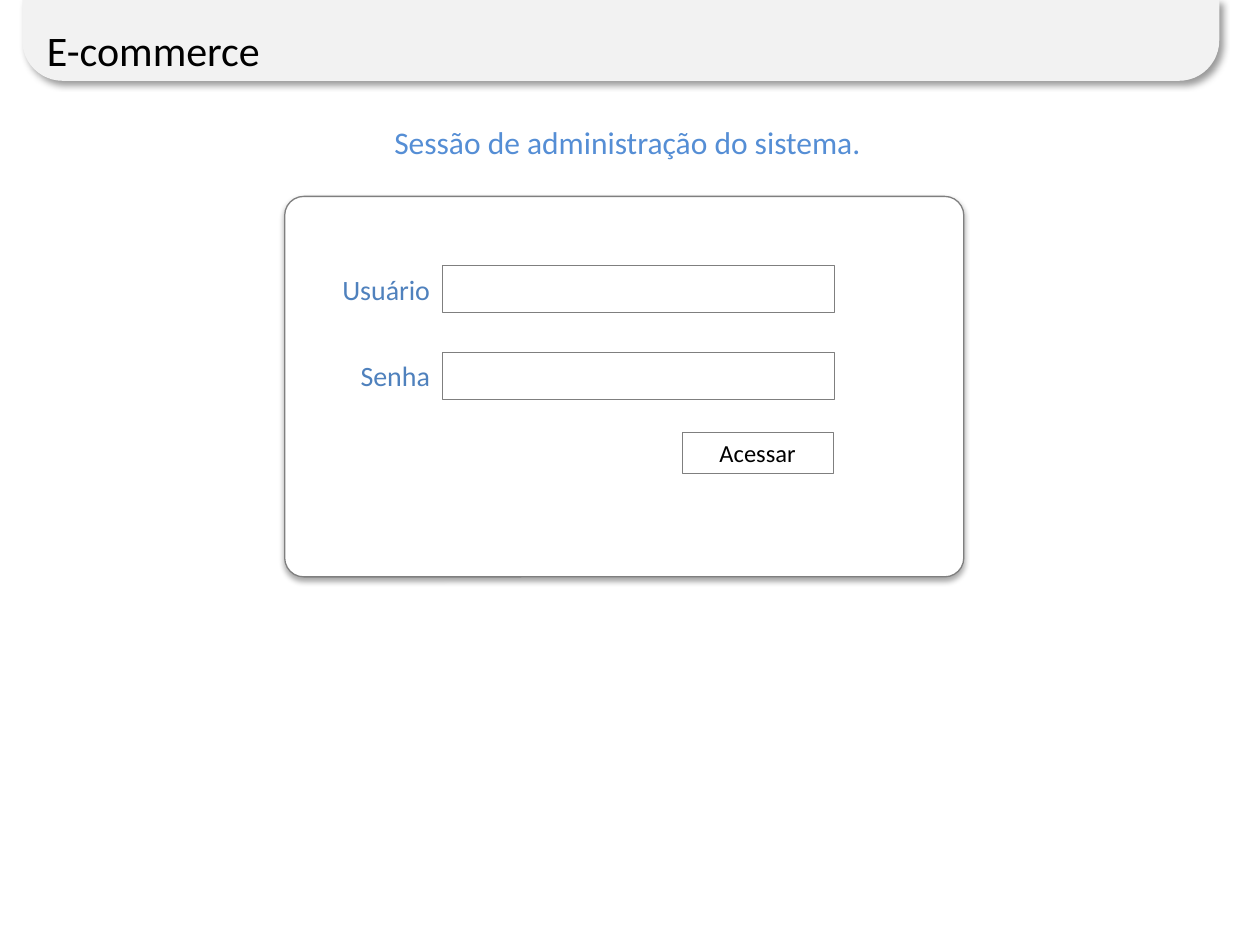
from lxml import etree
from pptx import Presentation
from pptx.dml.color import RGBColor
from pptx.enum.shapes import MSO_SHAPE
from pptx.enum.text import MSO_ANCHOR, MSO_AUTO_SIZE, PP_ALIGN
from pptx.oxml.ns import qn
from pptx.util import Cm, Pt

RECT = MSO_SHAPE.RECTANGLE
ROUND = MSO_SHAPE.ROUNDED_RECTANGLE
TAB = MSO_SHAPE.ROUND_2_SAME_RECTANGLE
TOP, MID = MSO_ANCHOR.TOP, MSO_ANCHOR.MIDDLE
LEFT, CENTER, RIGHT = PP_ALIGN.LEFT, PP_ALIGN.CENTER, PP_ALIGN.RIGHT
NO_FIT = MSO_AUTO_SIZE.NONE

FONT = "Calibri"
COLORS = {
    "black": "000000",
    "white": "FFFFFF",
    "band": "F2F2F2",
    "edge": "7F7F7F",
    "intro": "558ED5",
    "label": "4F81BD",
}


def color(name):
    return RGBColor.from_string(COLORS[name])


def write(shape, text, size, ink="black", align=LEFT, anchor=TOP, wrap=False):
    frame = shape.text_frame
    frame.auto_size = NO_FIT
    frame.word_wrap = wrap
    frame.vertical_anchor = anchor
    frame.text = text
    para = frame.paragraphs[0]
    para.alignment = align
    font = para.runs[0].font
    font.name, font.size = FONT, Pt(size)
    font.color.rgb = color(ink)


def add_text(slide, box, text, size, **style):
    shape = slide.shapes.add_textbox(*map(Cm, box))
    write(shape, text, size, **style)


def add_box(slide, kind, box, fill="white", line=None, adjust=()):
    """Add a filled shape; line is the outline width in points."""
    shape = slide.shapes.add_shape(kind, *map(Cm, box))
    shape.shadow.inherit = False
    shape.fill.solid()
    shape.fill.fore_color.rgb = color(fill)
    if line is None:
        shape.line.fill.background()
    else:
        shape.line.color.rgb = color("edge")
        shape.line.width = Pt(line)
    for i, value in enumerate(adjust):
        shape.adjustments[i] = value
    return shape


def add_shadow(shape, alpha, blur, dist, angle):
    """Cast an outer shadow: alpha in percent, lengths in points."""
    effects = shape._element.spPr.find(qn("a:effectLst"))
    outer = etree.SubElement(
        effects, qn("a:outerShdw"), blurRad=str(Pt(blur)),
        dist=str(Pt(dist)), dir=str(angle * 60000), rotWithShape="0")
    tint = etree.SubElement(outer, qn("a:srgbClr"), val=COLORS["black"])
    etree.SubElement(tint, qn("a:alpha"), val=str(alpha * 1000))


def add_header(slide, text):
    band = add_box(slide, TAB, (0.45, 0, 24.13, 1.63), "band",
                   adjust=(0, 0.5))
    add_shadow(band, 40, 4, 3, 45)
    title = slide.shapes.title
    title.left, title.top, title.width, title.height = map(
        Cm, (0.69, 0.36, 5.05, 1.28))
    write(title, text, 24)
    band._element.addnext(title._element)  # title in front of the band


def add_field(slide, top, label):
    left, width, height = 8.92, 7.9, 0.94
    add_text(slide, (left - 2.31, top, 2.31, height), label, 16,
             ink="label", align=RIGHT)
    add_box(slide, RECT, (left, top, width, height), line=0.75)


def main():
    deck = Presentation()
    deck.slide_width, deck.slide_height = Cm(25.4), Cm(19.05)
    slide = deck.slides.add_slide(deck.slide_layouts[5])

    add_header(slide, "E-commerce")
    add_text(slide, (7.62, 2.36, 10.06, 1.02),
             "Sessão de administração do sistema.", 18,
             ink="intro", align=CENTER)

    panel = add_box(slide, ROUND, (5.74, 3.96, 13.69, 7.67), line=0.75,
                    adjust=(0.05,))
    add_shadow(panel, 35, 3.1, 1.8, 90)
    for i, label in enumerate(("Usuário", "Senha")):
        add_field(slide, 5.36 + 1.75 * i, label)
    button = add_box(slide, RECT, (13.75, 8.71, 3.05, 0.84), line=0.25)
    write(button, "Acessar", 14, align=CENTER, anchor=MID, wrap=True)

    deck.save("out.pptx")


if __name__ == "__main__":
    main()
